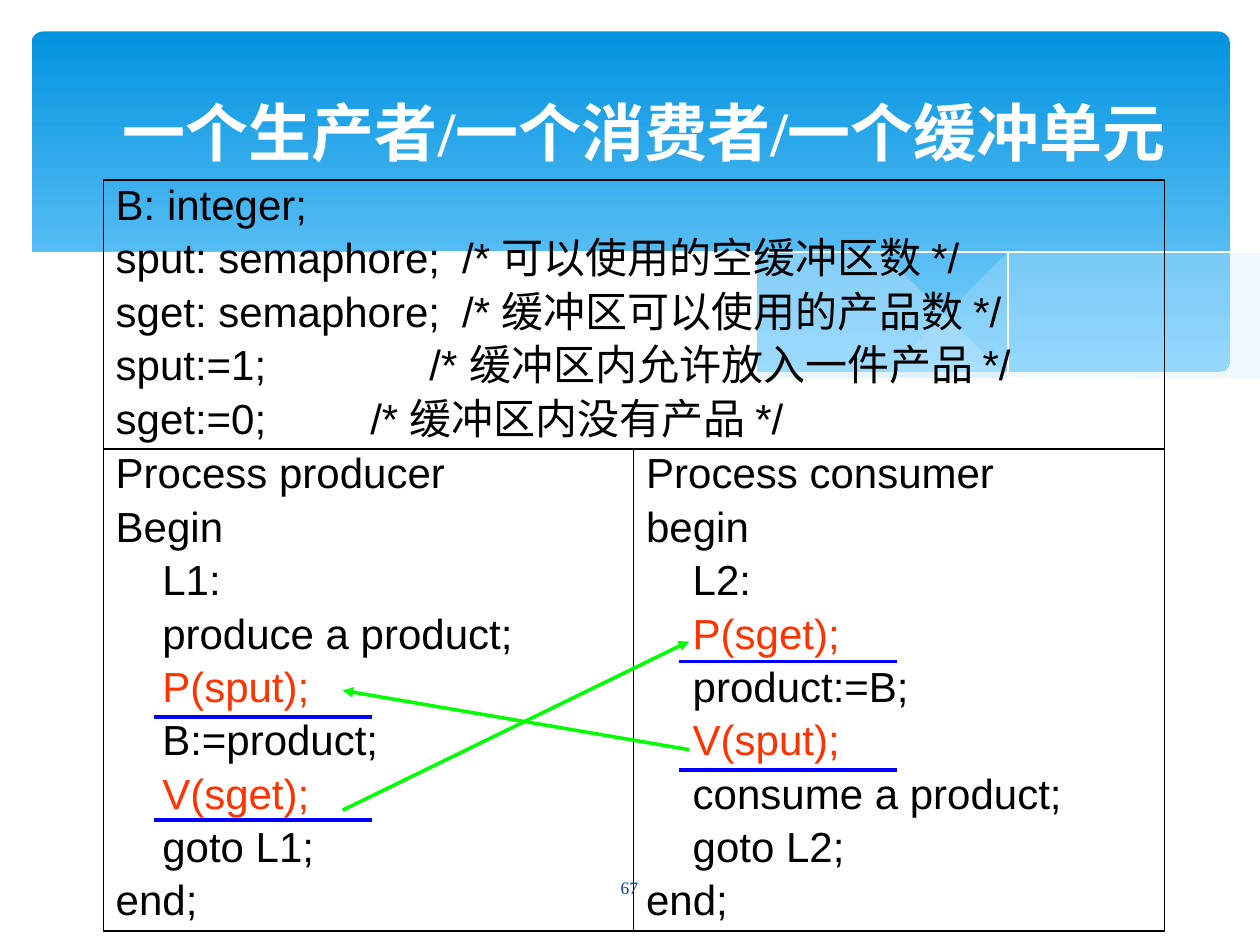
from lxml.etree import SubElement
from pptx import Presentation
from pptx.dml.color import RGBColor
from pptx.enum.shapes import MSO_CONNECTOR, MSO_SHAPE
from pptx.enum.text import MSO_ANCHOR, PP_ALIGN
from pptx.oxml.ns import qn
from pptx.util import Inches, Pt

WHITE, BLACK = RGBColor(255, 255, 255), RGBColor(0, 0, 0)
SKY_TOP, SKY_BOTTOM = RGBColor(0x02, 0x93, 0xE0), RGBColor(0x83, 0xD3, 0xFE)
PALE, NAVY = RGBColor(0xC6, 0xE7, 0xFC), RGBColor(0x07, 0x3E, 0x87)
RED, BLUE, GREEN = RGBColor(255, 0x33, 0), RGBColor(0, 0, 255), RGBColor(0, 255, 0)

# Content
TITLE = "一个生产者/一个消费者/一个缓冲单元"
PAGE = "67"
# Each declaration: code, comment, tab stop of the comment
DECLARATIONS = [
    ("B: integer;", "", 0),
    ("sput: semaphore;", "/* 可以使用的空缓冲区数 */", 2.75),
    ("sget: semaphore;", "/* 缓冲区可以使用的产品数 */", 2.75),
    ("sput:=1;", "/* 缓冲区内允许放入一件产品 */", 2.49),
    ("sget:=0;", "/* 缓冲区内没有产品 */", 2.02),
]
PRODUCER = ["Process producer", "Begin", "    L1:", "    produce a product;",
            "    P(sput);", "    B:=product;", "    V(sget);", "    goto L1;", "end;"]
CONSUMER = ["Process consumer", "begin", "    L2:", "    P(sget);",
            "    product:=B;", "    V(sput);", "    consume a product;",
            "    goto L2;", "end;"]

# Wave edges: key points joined by smooth curves
RIGHT_WAVE = [
    [(9.76, 2), (9.35, 2.07), (8.91, 2.16), (8.32, 2.3), (7.53, 2.48), (6.61, 2.65)],
    [(6.61, 2.65), (7.05, 2.71), (7.57, 2.76), (8.14, 2.78), (8.72, 2.74),
     (9.21, 2.65), (9.76, 2.47)],
]
LONG_WAVE = [
    [(8.93, 2.73), (8.07, 2.6), (7.06, 2.4), (6.29, 2.22), (5.41, 2.03),
     (4.64, 1.91), (3.8, 1.85), (2.86, 1.91)],
    [(2.86, 1.91), (3.62, 2.03), (4.49, 2.22), (5.66, 2.48), (6.65, 2.66),
     (7.48, 2.76), (8.18, 2.79), (8.93, 2.73)],
]
WHITE_WAVE = [
    [(9.77, 2.46), (9.3, 2.62), (8.75, 2.73), (8.09, 2.77), (7.26, 2.72),
     (6.26, 2.58), (5.29, 2.39), (4.18, 2.13), (3.39, 1.97), (2.71, 1.88),
     (1.93, 1.84), (1.19, 1.87), (0.67, 1.97), (0.23, 2.13)],
    [(0.23, 3.29), (9.77, 3.29)],
]
FALLING_LINE = [[(3.09, 1.95), (3.53, 1.89), (4.16, 1.87), (4.89, 1.9), (5.82, 2),
                 (6.95, 2.19), (7.95, 2.42), (9.07, 2.72)]]
RISING_LINE = [[(6.13, 2.57), (6.95, 2.35), (8.06, 2.1), (8.95, 1.94), (9.75, 1.85)]]

# Layout
LEFT, TOP, HALF, HEAD_H, BODY_H = 0.82, 1.43, 4.21, 2.14, 3.83
MIDDLE, BODY_TOP = LEFT + HALF, 3.56
UNDERLINE_W = 1.73
UNDERLINES = [(1.22, 5.69), (1.22, 6.51), (5.39, 5.25), (5.39, 6.11)]
SIGNALS = [((2.72, 6.43), (5.47, 5.09)), ((5.47, 5.95), (2.72, 5.48))]


def smooth(keys, steps=6):
    """Catmull-Rom curve through the key points."""
    if len(keys) < 3:
        return keys
    pts = [keys[0], *keys, keys[-1]]
    curve = [keys[0]]
    for a, b, c, d in zip(pts, pts[1:], pts[2:], pts[3:]):
        for t in (i / steps for i in range(1, steps + 1)):
            curve.append(tuple(
                (2 * q + (r - p) * t + (2 * p - 5 * q + 4 * r - u) * t**2
                 + (3 * q - p - 3 * r + u) * t**3) / 2
                for p, q, r, u in zip(a, b, c, d)))
    return curve


def add_wave(s, edges, fill=None, alpha=None):
    points = [pt for edge in edges for pt in smooth(edge)]
    builder = s.shapes.build_freeform(*points[0], scale=Inches(1))
    builder.add_line_segments(points[1:], close=fill is not None)
    sp = builder.convert_to_shape()
    sp.shadow.inherit = False
    if fill is None:
        sp.fill.background()
        sp.line.color.rgb = WHITE
        sp.line.width = Pt(0)
        return
    sp.fill.solid()
    sp.fill.fore_color.rgb = fill
    sp.line.fill.background()
    if alpha:
        color = sp.element.spPr.find(qn("a:solidFill")).find(qn("a:srgbClr"))
        SubElement(color, qn("a:alpha"), val=str(alpha * 1000))


def add_text(p, text, size=24, font="Arial", color=BLACK, bold=False,
             align=PP_ALIGN.LEFT, tab=0):
    if tab:
        tabs = SubElement(p._p.get_or_add_pPr(), qn("a:tabLst"))
        SubElement(tabs, qn("a:tab"), pos=str(Inches(tab)), algn="l")
    p.alignment = align
    r = p.add_run()
    r.text = text
    r.font.size, r.font.name, r.font.bold = Pt(size), font, bold
    r.font.color.rgb = color


def add_code_box(s, x, y, w, h, lines):
    sp = s.shapes.add_shape(MSO_SHAPE.RECTANGLE, *map(Inches, (x, y, w, h)))
    sp.shadow.inherit = False
    sp.fill.background()
    sp.line.color.rgb = BLACK
    sp.line.width = Pt(0.75)
    tf = sp.text_frame
    tf.word_wrap = True
    tf.vertical_anchor = MSO_ANCHOR.TOP
    for i, (code, comment, tab) in enumerate(lines):
        p = tf.paragraphs[0] if i == 0 else tf.add_paragraph()
        p.line_spacing = 0.85
        p.space_before = Pt(6 if i else 0)
        is_semaphore_call = code.strip().startswith(("P(", "V("))
        add_text(p, f"{code}\t{comment}" if comment else code, tab=tab,
                 color=RED if is_semaphore_call else BLACK)


def add_line(s, start, end, color, arrow=False):
    line = s.shapes.add_connector(MSO_CONNECTOR.STRAIGHT, *map(Inches, start + end))
    line.line.color.rgb = color
    line.line.width = Pt(2)
    if arrow:
        SubElement(line.line._get_or_add_ln(), qn("a:tailEnd"), type="triangle")
    SubElement(line.element.spPr, qn("a:effectLst"))


def main():
    prs = Presentation()
    prs.slide_width, prs.slide_height = Inches(10), Inches(7.5)
    s = prs.slides.add_slide(prs.slide_layouts[5])

    # Blue band with waves
    band = s.shapes.add_shape(MSO_SHAPE.ROUNDED_RECTANGLE,
                              *map(Inches, (0.25, 0.25, 9.51, 2.7)))
    band.adjustments[0] = 0.034
    band.shadow.inherit = False
    band.line.fill.background()
    band.fill.gradient()
    band.fill.gradient_angle = 270
    for stop, color in zip(band.fill.gradient_stops, (SKY_TOP, SKY_BOTTOM)):
        stop.color.rgb = color
    add_wave(s, RIGHT_WAVE, PALE, 29)
    add_wave(s, LONG_WAVE, PALE, 40)
    add_wave(s, FALLING_LINE)
    add_wave(s, RISING_LINE)
    add_wave(s, WHITE_WAVE, WHITE)

    # Title, brought in front of the band
    title = s.shapes.title
    title.left, title.top, title.width, title.height = map(
        Inches, (0.43, 0.36, 9.37, 1.37))
    title.text_frame.vertical_anchor = MSO_ANCHOR.MIDDLE
    add_text(title.text_frame.paragraphs[0], TITLE, size=36, font="Times New Roman",
             color=WHITE, bold=True, align=PP_ALIGN.CENTER)
    s.shapes.element.append(title.element)

    # Code boxes
    for x, code in ((LEFT, PRODUCER), (MIDDLE, CONSUMER)):
        add_code_box(s, x, BODY_TOP, HALF, BODY_H, [(c, "", 0) for c in code])
    add_code_box(s, LEFT, TOP, 2 * HALF, HEAD_H, DECLARATIONS)

    # Underlines and signal arrows
    for x, y in UNDERLINES:
        add_line(s, (x, y), (x + UNDERLINE_W, y), BLUE)
    for start, end in SIGNALS:
        add_line(s, start, end, GREEN, arrow=True)

    # Page number
    tf = s.shapes.add_textbox(*map(Inches, (4.36, 6.84, 1.27, 0.4))).text_frame
    tf.word_wrap = True
    tf.vertical_anchor = MSO_ANCHOR.MIDDLE
    add_text(tf.paragraphs[0], PAGE, size=10, font="Times New Roman", color=NAVY,
             align=PP_ALIGN.CENTER)

    prs.save("out.pptx")


if __name__ == "__main__":
    main()
